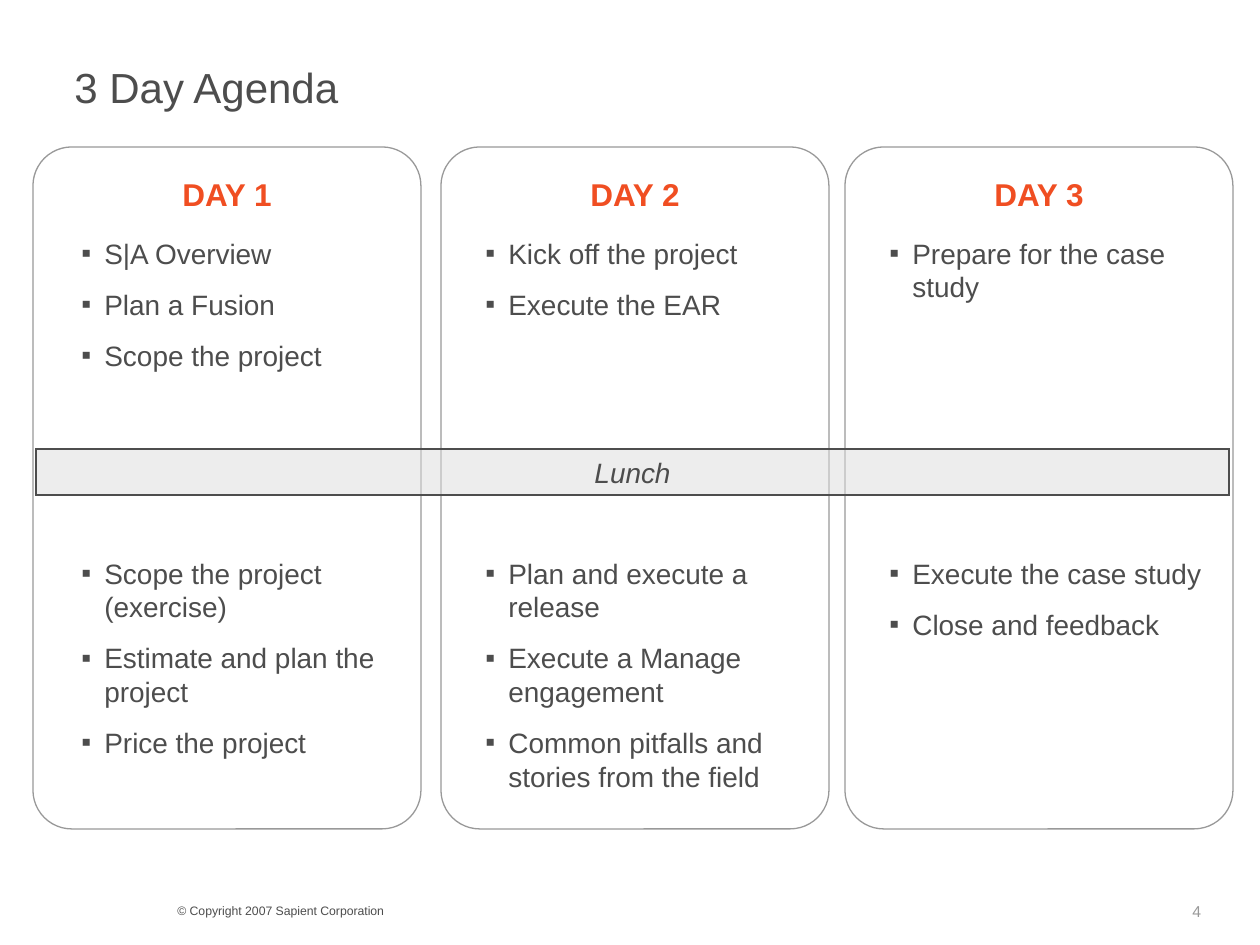
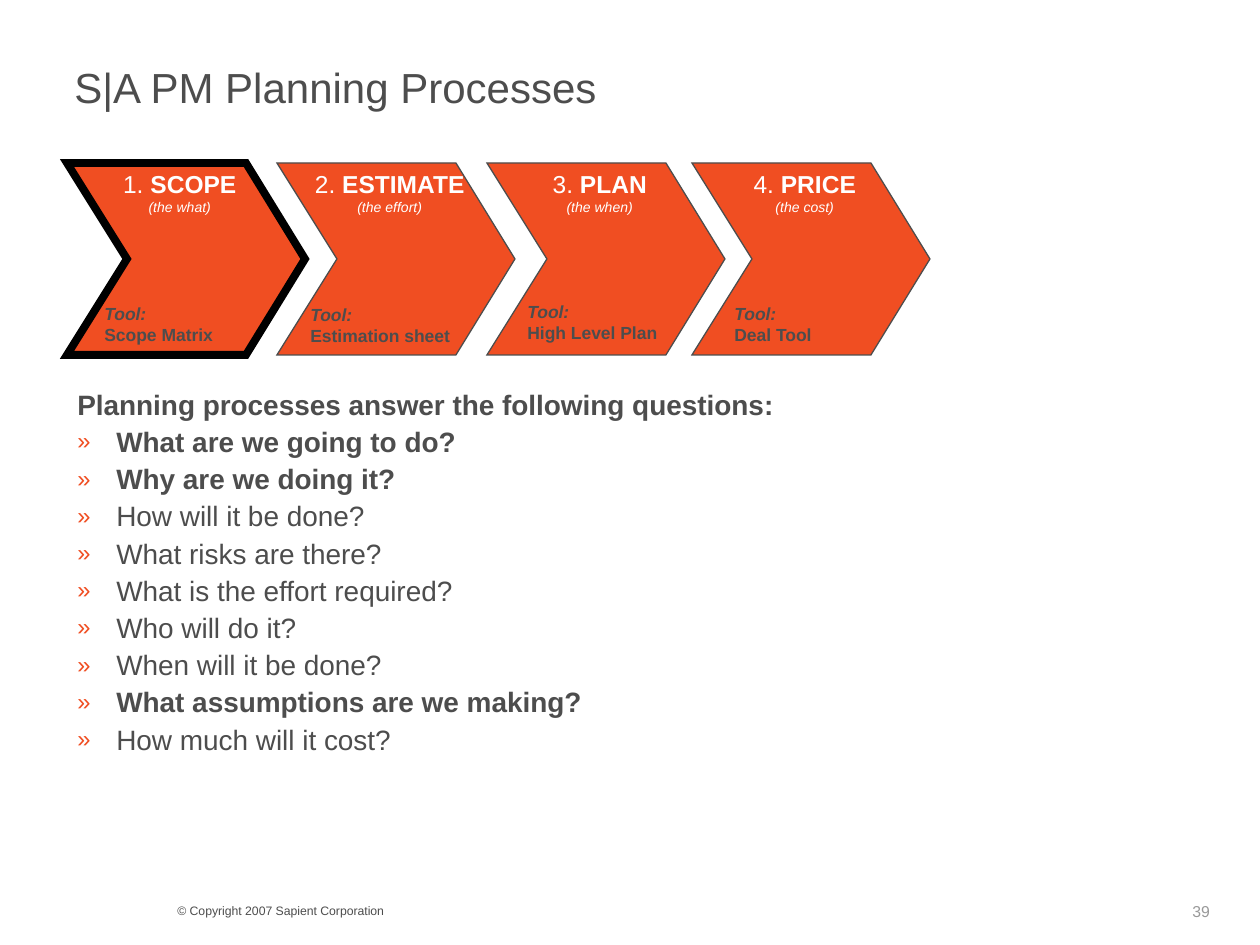
from lxml import etree
from pptx import Presentation
from pptx.dml.color import RGBColor
from pptx.enum.shapes import MSO_SHAPE
from pptx.enum.text import MSO_ANCHOR, PP_ALIGN
from pptx.oxml.ns import qn
from pptx.util import Emu, Pt

ROUNDED = MSO_SHAPE.ROUNDED_RECTANGLE
RECTANGLE = MSO_SHAPE.RECTANGLE
TOP, MIDDLE = MSO_ANCHOR.TOP, MSO_ANCHOR.MIDDLE
LEFT, CENTER = PP_ALIGN.LEFT, PP_ALIGN.CENTER

SCALE = 914400 / 126
FONT = "Arial"
COLORS = {
    "text": "4D4D4D",
    "accent": "F04E22",
    "muted": "999999",
    "band": "DDDDDD",
    "white": "FFFFFF",
    "black": "000000",
}

CARD_WIDTH = 388
CARD_TOP = 147
DAYS = [
    (33, "DAY 1",
     ["S|A Overview", "Plan a Fusion", "Scope the project"],
     ["Scope the project (exercise)", "Estimate and plan the project", "Price the project"]),
    (441, "DAY 2",
     ["Kick off the project", "Execute the EAR"],
     ["Plan and execute a release", "Execute a Manage engagement",
      "Common pitfalls and stories from the field"]),
    (845, "DAY 3",
     ["Prepare for the case study"],
     ["Execute the case study", "Close and feedback"]),
]

STEPS = [
    (67, "SCOPE", "(the what)", "Scope Matrix", (92, 297)),
    (277, "ESTIMATE", "(the effort)", "Estimation sheet", (298, 298)),
    (487, "PLAN", "(the when)", "High Level Plan", (515, 295)),
    (692, "PRICE", "(the cost)", "Deal Tool", (722, 297)),
]

QUESTIONS = [
    ("What are we going to do?", True),
    ("Why are we doing it?", True),
    ("How will it be done?", False),
    ("What risks are there?", False),
    ("What is the effort required?", False),
    ("Who will do it?", False),
    ("When will it be done?", False),
    ("What assumptions are we making?", True),
    ("How much will it cost?", False),
]


def px(length):
    return Emu(round(length * SCALE))


def color(name):
    return RGBColor.from_string(COLORS[name])


def style_runs(para, size, tone="text", bold=False, italic=False):
    for span in para.runs:
        span.font.name = FONT
        span.font.size = Pt(size)
        span.font.color.rgb = color(tone)
        span.font.bold = bold
        span.font.italic = italic


def add_text(page, left, top, width, height, lines, size, align=LEFT, **style):
    box = page.shapes.add_textbox(px(left), px(top), px(width), px(height))
    box.text_frame.word_wrap = True
    box.text_frame.text = "\n".join(lines)
    for para in box.text_frame.paragraphs:
        para.alignment = align
        style_runs(para, size, **style)
    return box


def set_bullet(para, mark, tone, indent, percent=100):
    properties = para._p.get_or_add_pPr()
    properties.set("marL", str(px(indent)))
    properties.set("indent", str(-px(indent)))
    bullet_color = etree.SubElement(properties, qn("a:buClr"))
    etree.SubElement(bullet_color, qn("a:srgbClr"), val=COLORS[tone])
    etree.SubElement(properties, qn("a:buSzPct"), val=str(percent * 1000))
    etree.SubElement(properties, qn("a:buFont"), typeface=FONT)
    etree.SubElement(properties, qn("a:buChar"), char=mark)


def outline(shape, tone, width):
    shape.shadow.inherit = False
    shape.line.color.rgb = color(tone)
    shape.line.width = Pt(width)
    line = shape._element.spPr.find(qn("a:ln"))
    etree.SubElement(line, qn("a:miter"), lim="800000")


def add_page(deck, title, number):
    page = deck.slides.add_slide(deck.slide_layouts[6])
    add_text(page, 165, 897, 504, 28, ["© Copyright 2007 Sapient Corporation"], 7)
    add_text(page, 1180, 896, 79, 30, [number], 9, tone="muted")
    add_text(page, 62, 55, 1135, 69, [title], 24)
    return page


def add_card(page, left, heading):
    card = page.shapes.add_shape(ROUNDED, px(left), px(CARD_TOP), px(CARD_WIDTH), px(682))
    card.adjustments[0] = 0.1
    card.fill.background()
    outline(card, "muted", 0.75)
    add_text(page, left, 169, CARD_WIDTH, 52, [heading], 18, align=CENTER,
             tone="accent", bold=True)


def add_session(page, left, top, topics):
    box = add_text(page, left, top, 357, 250, topics, 16)
    for index, para in enumerate(box.text_frame.paragraphs):
        set_bullet(para, "▪", "text", 23)
        if index:
            para.space_before = Pt(10)


def add_lunch_band(page):
    band = page.shapes.add_shape(RECTANGLE, px(36), px(449), px(1193), px(46))
    band.fill.solid()
    band.fill.fore_color.rgb = color("band")
    fill_color = band.fill._xPr.find(".//" + qn("a:srgbClr"))
    etree.SubElement(fill_color, qn("a:alpha"), val="50000")
    outline(band, "text", 0.75)
    band.text_frame.vertical_anchor = MIDDLE
    band.text_frame.text = "Lunch"
    para = band.text_frame.paragraphs[0]
    para.alignment = CENTER
    style_runs(para, 16, italic=True)


def add_chevron(page, left, number, name, answer, current):
    builder = page.shapes.build_freeform(left, 163, scale=SCALE)
    corners = [(179, 163), (238, 259), (179, 355), (0, 355), (60, 259)]
    builder.add_line_segments([(left + x, y) for x, y in corners], close=True)
    chevron = builder.convert_to_shape()
    chevron.fill.solid()
    chevron.fill.fore_color.rgb = color("accent")
    outline(chevron, "black" if current else "text", 4.5 if current else 0.75)
    frame = chevron.text_frame
    frame.word_wrap = False
    frame.vertical_anchor = TOP
    frame.margin_left = 0
    frame.text = f"{number}. \n{answer}"
    heading, caption = frame.paragraphs
    heading.add_run().text = name
    for para, size, italic in ((heading, 14, False), (caption, 8, True)):
        para.alignment = CENTER
        style_runs(para, size, tone="white", italic=italic)
    heading.runs[1].font.bold = True


def add_tool(page, place, name):
    left, top = place
    box = add_text(page, left, top, 190, 55, ["Tool:", name], 10, bold=True)
    box.text_frame.paragraphs[0].runs[0].font.italic = True


def add_questions(page):
    lines = ["Planning processes answer the following questions:"]
    lines += [question for question, _ in QUESTIONS]
    box = add_text(page, 65, 385, 1133, 389, lines, 16, bold=True)
    intro, *answers = box.text_frame.paragraphs
    intro.line_spacing = 0.9
    for para, (_, bold) in zip(answers, QUESTIONS):
        set_bullet(para, "»", "accent", 39, 85)
        para.line_spacing = 0.9
        para.space_before = Pt(4)
        para.runs[0].font.bold = bold


def build_agenda(deck):
    page = add_page(deck, "3 Day Agenda", "4")
    for left, heading, _, _ in DAYS:
        add_card(page, left, heading)
    add_lunch_band(page)
    for column, (_, _, morning, afternoon) in enumerate(DAYS):
        left = 69 + column * 404
        add_session(page, left, 230, morning)
        add_session(page, left, 550, afternoon)


def build_planning(deck):
    page = add_page(deck, "S|A PM Planning Processes", "39")
    for number, (left, name, answer, _, _) in enumerate(STEPS, 1):
        add_chevron(page, left, number, name, answer, number == 1)
    for _, _, _, tool, place in STEPS:
        add_tool(page, place, tool)
    add_questions(page)


def main():
    deck = Presentation()
    deck.slide_width = px(1260)
    deck.slide_height = px(945)
    build_agenda(deck)
    build_planning(deck)
    deck.save("out.pptx")


if __name__ == "__main__":
    main()
